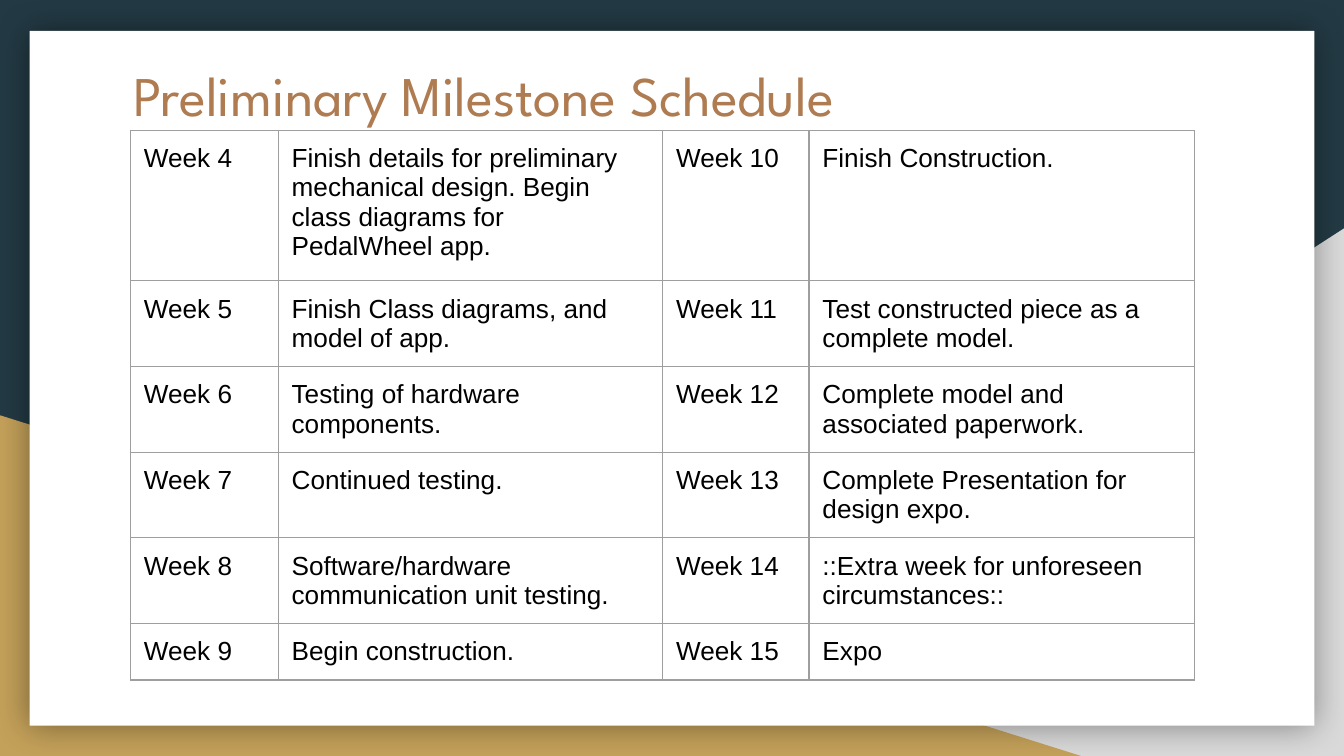
from lxml import etree
from pptx import Presentation
from pptx.dml.color import RGBColor
from pptx.enum.shapes import MSO_SHAPE
from pptx.enum.text import MSO_ANCHOR, PP_ALIGN
from pptx.oxml import parse_xml
from pptx.oxml.ns import nsdecls, qn
from pptx.util import Inches, Pt

RECT = MSO_SHAPE.RECTANGLE
WEDGE = MSO_SHAPE.RIGHT_TRIANGLE
TOP = MSO_ANCHOR.TOP
LEFT = PP_ALIGN.LEFT

WEEKS = [
    ("Week 4", "Finish details for preliminary mechanical design. Begin class diagrams for PedalWheel app.",
     "Week 10", "Finish Construction."),
    ("Week 5", "Finish Class diagrams, and model of app.",
     "Week 11", "Test constructed piece as a complete model."),
    ("Week 6", "Testing of hardware components.",
     "Week 12", "Complete model and associated paperwork."),
    ("Week 7", "Continued testing.",
     "Week 13", "Complete Presentation for design expo."),
    ("Week 8", "Software/hardware communication unit testing.",
     "Week 14", "::Extra week for unforeseen circumstances::"),
    ("Week 9", "Begin construction.", "Week 15", "Expo"),
]


def color(code):
    return RGBColor.from_string(code)


class Deck:
    navy, gold, gray, white = "233A44", "C4A15A", "D9D9D9", "FFFFFF"
    brown, ink, rule = "AF7B51", "000000", "9E9E9E"
    head, body = "League Spartan", "Arial"
    pad = Inches(0.1)

    def __init__(self, prs):
        self.slide = prs.slides.add_slide(prs.slide_layouts[5])
        fill = self.slide.background.fill
        fill.solid()
        fill.fore_color.rgb = color(self.navy)

    def shape(self, kind, box, code, flip=False):
        item = self.slide.shapes.add_shape(kind, *map(Inches, box))
        item.shadow.inherit = False
        item.fill.solid()
        item.fill.fore_color.rgb = color(code)
        item.line.fill.background()
        if flip:
            item._element.spPr.xfrm.set("flipH", "1")
        return item

    def card(self, box):
        item = self.shape(RECT, box, self.white)
        glow = item._element.spPr.find(qn("a:effectLst"))
        glow.append(parse_xml(
            f'<a:outerShdw {nsdecls("a")} blurRad="{Pt(18)}" dist="0" dir="0" rotWithShape="0">'
            f'<a:srgbClr val="{self.ink}"><a:alpha val="40000"/></a:srgbClr></a:outerShdw>'))

    def style(self, frame, face, size, code):
        for para in frame.paragraphs:
            para.alignment = LEFT
            for run in para.runs:
                run.font.name = face
                run.font.size = Pt(size)
                run.font.color.rgb = color(code)

    def title(self, text, box):
        item = self.slide.shapes.title
        item.left, item.top, item.width, item.height = map(Inches, box)
        frame = item.text_frame
        frame.text = text
        frame.word_wrap = True
        frame.vertical_anchor = TOP
        frame.margin_left = frame.margin_right = self.pad
        frame.margin_top = frame.margin_bottom = self.pad
        self.style(frame, self.head, 30, self.brown)
        self.slide.shapes._spTree.append(item._element)

    def border(self, cell):
        props = cell._tc.get_or_add_tcPr()
        for spot, side in enumerate(("lnL", "lnR", "lnT", "lnB")):
            line = etree.Element(qn(f"a:{side}"), w=str(Pt(0.75)))
            fill = etree.SubElement(line, qn("a:solidFill"))
            etree.SubElement(fill, qn("a:srgbClr"), val=self.rule)
            props.insert(spot, line)

    def table(self, rows, box, widths, heights):
        grid = self.slide.shapes.add_table(
            len(rows), len(widths), *map(Inches, box)).table
        grid.first_row = grid.horz_banding = False
        for col, width in zip(grid.columns, widths):
            col.width = Inches(width)
        for row, height, texts in zip(grid.rows, heights, rows):
            row.height = Inches(height)
            for cell, text in zip(row.cells, texts):
                cell.text_frame.text = text
                cell.margin_left = cell.margin_right = self.pad
                cell.margin_top = cell.margin_bottom = self.pad
                cell.vertical_anchor = TOP
                cell.fill.background()
                self.style(cell.text_frame, self.body, 14, self.ink)
                self.border(cell)


def main():
    prs = Presentation()
    prs.slide_width = Inches(10)
    prs.slide_height = prs.slide_width * 9 // 16
    deck = Deck(prs)
    deck.shape(WEDGE, (3.92, 1.7, 6.08, 3.93), deck.gray, flip=True)
    deck.shape(WEDGE, (0, 3.09, 8.06, 2.54), deck.gold)
    deck.card((0.22, 0.23, 9.56, 5.17))
    deck.title("Preliminary Milestone Schedule", (0.89, 0.35, 8.21, 1.2))
    deck.table(WEEKS, (0.97, 0.97, 7.92, 4.23),
               (1.1, 2.86, 1.09, 2.87), [1.12] + [0.42] * 5)
    prs.save("out.pptx")


if __name__ == "__main__":
    main()
